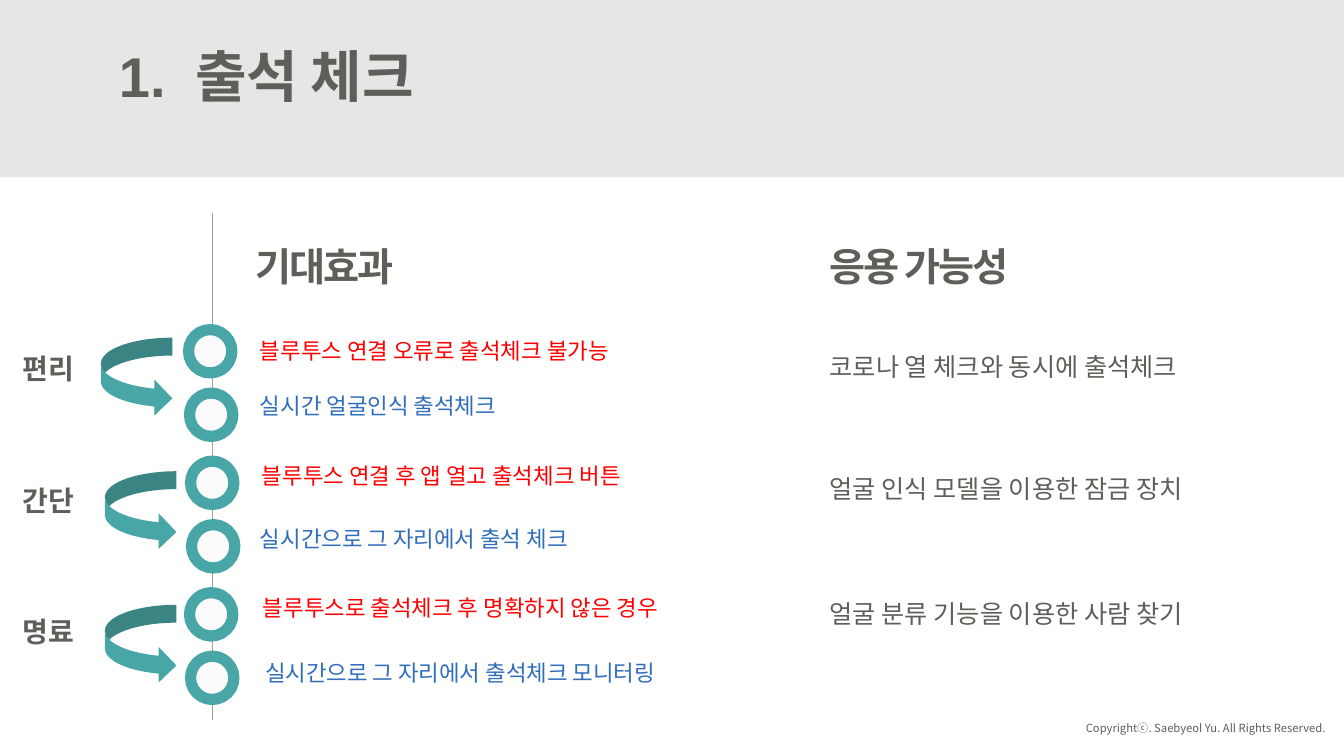
from lxml.etree import SubElement
from pptx import Presentation
from pptx.dml.color import RGBColor
from pptx.enum.shapes import MSO_CONNECTOR, MSO_SHAPE
from pptx.enum.text import MSO_ANCHOR, PP_ALIGN
from pptx.oxml.ns import qn
from pptx.util import Inches, Pt

WIDTH, HEIGHT = 13.33, 7.5
GREY, TEAL, RED, BLUE = "5F5E58", "49A6A6", "FF0000", "306DBB"
LATIN, KOREAN = "Arial", "Noto Sans CJK KR"
BAND_HEIGHT = 1.76
EFFECTS_LEFT, USES_LEFT = 2.44, 8.13
HEADING_TOP = 2.35
FIRST_STEP, STEP_PITCH, RING_PITCH = 3.27, 1.305, 0.63

# Label, arrow left and drop, ring left, then (wording, left, drop) before and after
STEPS = [
    ("편리", 1.0, 0.08, 1.87,
     ("블루투스 연결 오류로 출석체크 불가능", 2.48, 0.03),
     ("실시간 얼굴인식 출석체크", 2.48, 0.57)),
    ("간단", 1.04, 0.1, 1.89,
     ("블루투스 연결 후 앱 열고 출석체크 버튼", 2.5, -0.04),
     ("실시간으로 그 자리에서 출석 체크", 2.48, 0.59)),
    ("명료", 1.04, 0.12, 1.88,
     ("블루투스로 출석체크 후 명확하지 않은 경우", 2.51, -0.03),
     ("실시간으로 그 자리에서 출석체크 모니터링", 2.53, 0.61)),
]
USES = [
    ("코로나 열 체크와 동시에 출석체크", 3.44),
    ("얼굴 인식 모델을 이용한 잠금 장치", 4.65),
    ("얼굴 분류 기능을 이용한 사람 찾기", 5.89),
]


def colour(value):
    return RGBColor.from_string(value)


def inches(*lengths):
    return [Inches(length) for length in lengths]


def style(para, size, shade=GREY, bold=False, font=LATIN):
    para.font.size = Pt(size)
    para.font.bold = bold
    para.font.color.rgb = colour(shade)
    para.font.name = font


def add_text(page, box, wording, size, shade=GREY, bold=False, font=LATIN, spacing=0):
    frame = page.shapes.add_textbox(*inches(*box)).text_frame
    frame.word_wrap = True
    para = frame.paragraphs[0]
    span = para.add_run()
    span.text = wording
    style(para, size, shade, bold, font)
    if spacing:
        span.font._element.set("spc", str(int(spacing * 100)))
    SubElement(span.font._element, qn("a:ea")).set("typeface", KOREAN)
    return para


def add_preset(page, preset, box, fill, line=None, weight=0):
    shape = page.shapes.add_shape(preset, *inches(*box))
    shape.shadow.inherit = False
    shape.fill.solid()
    shape.fill.fore_color.rgb = colour(fill)
    if line:
        shape.line.color.rgb = colour(line)
        shape.line.width = Pt(weight)
    else:
        shape.line.fill.background()


def add_header(page):
    add_preset(page, MSO_SHAPE.RECTANGLE, (0, 0, WIDTH, BAND_HEIGHT), "E7E6E6")
    title = page.shapes.title
    title.left, title.top, title.width, title.height = inches(1.08, 0.36, 5.74, 0.77)
    # Bring the title in front of the band
    page.shapes._spTree.append(title._element)
    frame = title.text_frame
    frame.word_wrap = True
    frame.vertical_anchor = MSO_ANCHOR.TOP
    para = frame.paragraphs[0]
    for wording, spacing in (("1.", 0), (" ", 10), ("출석 체크", 0)):
        span = para.add_run()
        span.text = wording
        span.font._element.set("spc", str(spacing * 100))
        SubElement(span.font._element, qn("a:ea")).set("typeface", KOREAN)
    para.alignment = PP_ALIGN.LEFT
    style(para, 40, bold=True)


def add_heading(page, left, wording):
    add_text(page, (left, HEADING_TOP, 2.3, 0.57), wording, 28,
             bold=True, font=KOREAN, spacing=-1.5)


def add_timeline(page):
    line = page.shapes.add_connector(MSO_CONNECTOR.STRAIGHT, *inches(2.11, 2.11, 2.11, 7.14))
    line.line.color.rgb = colour("A1A099")
    line.line.width = Pt(0.5)
    SubElement(line._element.spPr, qn("a:effectLst"))


def add_step(page, top, step):
    label, arrow_left, arrow_drop, ring_left, before, after = step
    add_text(page, (0.13, top + 0.17, 0.8, 0.44), label, 20, bold=True)
    add_preset(page, MSO_SHAPE.CURVED_RIGHT_ARROW,
               (arrow_left, top + arrow_drop, 0.71, 0.78), TEAL)
    for index, (note, shade) in enumerate(((before, RED), (after, BLUE))):
        add_preset(page, MSO_SHAPE.OVAL,
                   (ring_left + index * 0.01, top + index * RING_PITCH, 0.43, 0.43),
                   "FBFBFB", TEAL, 8)
        wording, left, drop = note
        add_text(page, (left, top + drop, 4.68, 0.37), wording, 16, shade)


def add_effects(page):
    add_timeline(page)
    add_heading(page, EFFECTS_LEFT, "기대효과")
    for index, step in enumerate(STEPS):
        add_step(page, FIRST_STEP + index * STEP_PITCH, step)


def add_uses(page):
    add_heading(page, USES_LEFT, "응용 가능성")
    for wording, top in USES:
        add_text(page, (USES_LEFT, top, 4.09, 0.4), wording, 18)


def add_footer(page):
    para = add_text(page, (10.62, 7.11, 2.63, 0.24),
                    "Copyrightⓒ. Saebyeol Yu. All Rights Reserved.", 8, font=KOREAN)
    para.alignment = PP_ALIGN.RIGHT


def main():
    deck = Presentation()
    deck.slide_width, deck.slide_height = inches(WIDTH, HEIGHT)
    page = deck.slides.add_slide(deck.slide_layouts[5])
    add_header(page)
    add_effects(page)
    add_uses(page)
    add_footer(page)
    deck.save("out.pptx")


if __name__ == "__main__":
    main()
